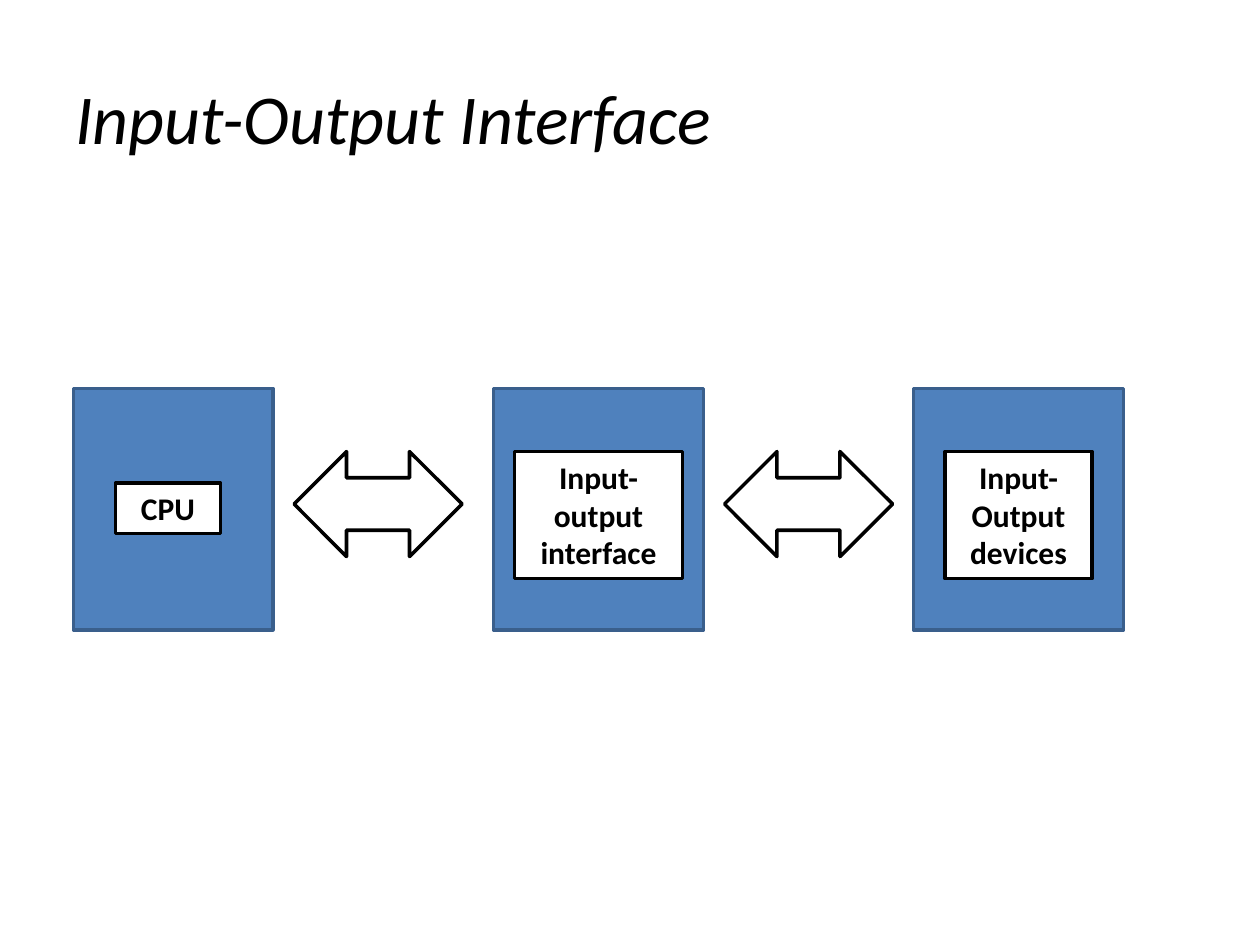
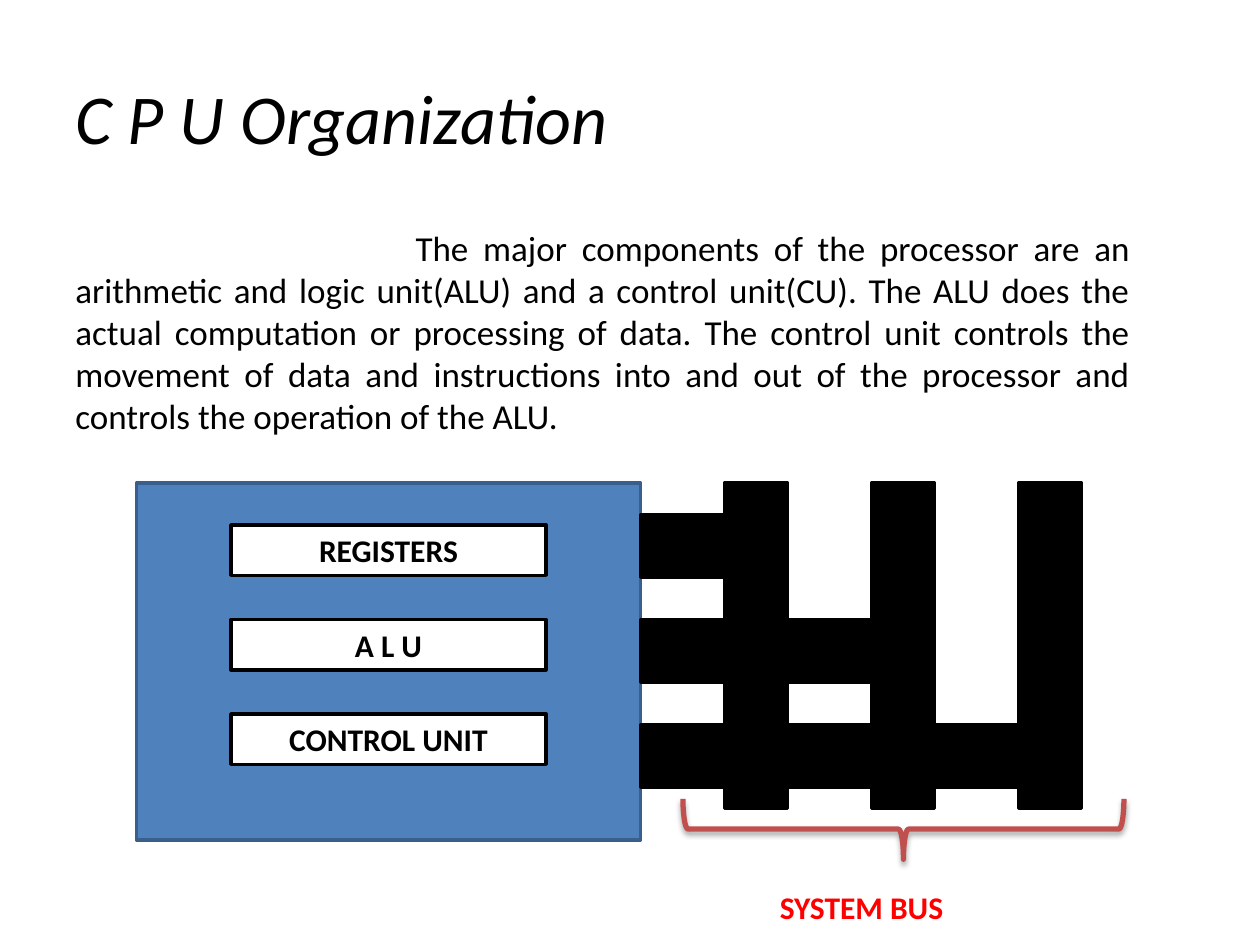
from lxml.etree import SubElement
from pptx import Presentation
from pptx.dml.color import RGBColor
from pptx.enum.shapes import MSO_SHAPE
from pptx.enum.text import MSO_ANCHOR, PP_ALIGN
from pptx.oxml.ns import qn
from pptx.util import Inches, Pt

FONT = "Calibri"
BLACK = RGBColor(0x00, 0x00, 0x00)
WHITE = RGBColor(0xFF, 0xFF, 0xFF)
BLUE = RGBColor(0x4F, 0x81, 0xBD)
BLUE_EDGE = RGBColor(0x3A, 0x5F, 0x8C)
BRACE_RED = RGBColor(0xC0, 0x50, 0x4D)
LABEL_RED = RGBColor(0xFF, 0x00, 0x00)

PROCESSOR_TEXT = (
    "The major components of the processor are an arithmetic and logic unit(ALU) "
    "and a control unit(CU). The ALU does the actual computation or processing of "
    "data. The control unit controls the movement of data and instructions into "
    "and out of the processor and controls the operation of the ALU."
)


def write(shape, text, size=18, color=BLACK, bold=False, italic=False,
          align=PP_ALIGN.LEFT, anchor=MSO_ANCHOR.TOP, indent=0, right_inset=0.1):
    """Put one formatted paragraph into a shape."""
    frame = shape.text_frame
    frame.word_wrap = True
    frame.vertical_anchor = anchor
    frame.margin_right = Inches(right_inset)
    paragraph = frame.paragraphs[0]
    paragraph.alignment = align
    if indent:
        paragraph._p.get_or_add_pPr().set("indent", str(Inches(indent)))
    run = paragraph.add_run()
    run.text = text
    font = run.font
    font.name, font.size = FONT, Pt(size)
    font.bold, font.italic = bold, italic
    font.color.rgb = color


def add_text(slide, box, text, **text_format):
    write(slide.shapes.add_textbox(*map(Inches, box)), text, **text_format)


def add_block(slide, box, fill=WHITE, edge=BLACK, kind=MSO_SHAPE.RECTANGLE, weight=2):
    block = slide.shapes.add_shape(kind, *map(Inches, box))
    block.shadow.inherit = False
    if fill is None:
        block.fill.background()
    else:
        block.fill.solid()
        block.fill.fore_color.rgb = fill
    block.line.color.rgb = edge
    block.line.width = Pt(weight)
    return block


def add_label(slide, box, text):
    write(add_block(slide, box), text, bold=True, align=PP_ALIGN.CENTER)


def add_titled_slide(deck, title):
    slide = deck.slides.add_slide(deck.slide_layouts[6])
    add_text(slide, (0.5, 0.3, 9, 1.25), title, size=40, italic=True,
             anchor=MSO_ANCHOR.MIDDLE)
    return slide


def add_unit(slide, box, text, label_offset, label_size):
    """Blue panel with a white label, offset from the panel's corner."""
    left, top = box[:2]
    add_block(slide, box, BLUE, BLUE_EDGE)
    add_label(slide, (left + label_offset[0], top + label_offset[1], *label_size), text)


def add_cpu(slide, box):
    """Processor panel with its three evenly spaced parts."""
    left, top, width, _ = box
    add_block(slide, box, BLUE, BLUE_EDGE)
    part_width = 2.5
    for row, part in enumerate(("REGISTERS", "A L U", "CONTROL UNIT")):
        add_label(slide, (left + (width - part_width) / 2, top + 1 / 3 + 0.75 * row,
                          part_width, 0.4), part)


def add_system_bus(slide, box):
    """Three bus lines, each reached by a longer branch from the processor."""
    left, top, width, height = box
    thickness = 0.5
    first_reach = 2 / 3
    line_step = (width - thickness - first_reach) / 2
    for line in range(3):
        reach = first_reach + line_step * line
        add_block(slide, (left + reach, top, thickness, height), BLACK)
        add_block(slide, (left, top + 0.25 + 5 / 6 * line, reach, thickness), BLACK)


def add_bus_caption(slide, box):
    """Brace turned to lie under the bus, with its caption below."""
    left, top, span, depth = box
    # A quarter turn swaps the sides around the centre of the box
    upright = (left + (span - depth) / 2, top + (depth - span) / 2, depth, span)
    brace = add_block(slide, upright, None, BRACE_RED, MSO_SHAPE.RIGHT_BRACE, 3)
    brace.rotation = 90
    effects = brace._element.spPr.find(qn("a:effectLst"))
    shadow = SubElement(effects, qn("a:outerShdw"), blurRad=str(Pt(3.1)),
                        dist=str(Pt(1.8)), dir="5400000", rotWithShape="0")
    shade = SubElement(shadow, qn("a:srgbClr"), val=str(BLACK))
    SubElement(shade, qn("a:alpha"), val="35000")
    add_text(slide, (left + 0.67, top + 0.66, 2.58, 0.4), "SYSTEM BUS",
             color=LABEL_RED, bold=True)


def build_interface_slide(deck):
    slide = add_titled_slide(deck, "Input-Output Interface")
    top, height = 37 / 12, 23 / 12
    add_unit(slide, (7 / 12, top, 19 / 12, height), "CPU", (1 / 3, 0.75), (5 / 6, 0.4))
    add_unit(slide, (47 / 12, top, 5 / 3, height), "Input-output interface",
             (1 / 6, 0.5), (4 / 3, 1.01))
    add_unit(slide, (7.25, top, 5 / 3, height), "Input-Output devices",
             (0.25, 0.5), (7 / 6, 1.01))
    # Two-way links between the units
    for link_left in (7 / 3, 5.75):
        add_block(slide, (link_left, top + 0.5, 4 / 3, 5 / 6),
                  kind=MSO_SHAPE.LEFT_RIGHT_ARROW)


def build_organization_slide(deck):
    slide = add_titled_slide(deck, "C P U Organization")
    add_text(slide, (0.5, 1.75, 9, 4.95), PROCESSOR_TEXT, size=20,
             align=PP_ALIGN.JUSTIFY, indent=2.7, right_inset=0.53)
    cpu_left, top, cpu_width = 13 / 12, 23 / 6, 4
    add_cpu(slide, (cpu_left, top, cpu_width, 17 / 6))
    add_system_bus(slide, (cpu_left + cpu_width, top, 3.5, 31 / 12))
    add_bus_caption(slide, (5.42, 6.34, 3.5, 0.48))


def main():
    deck = Presentation()
    deck.slide_width, deck.slide_height = Inches(10), Inches(7.5)
    build_interface_slide(deck)
    build_organization_slide(deck)
    deck.save("out.pptx")


if __name__ == "__main__":
    main()
